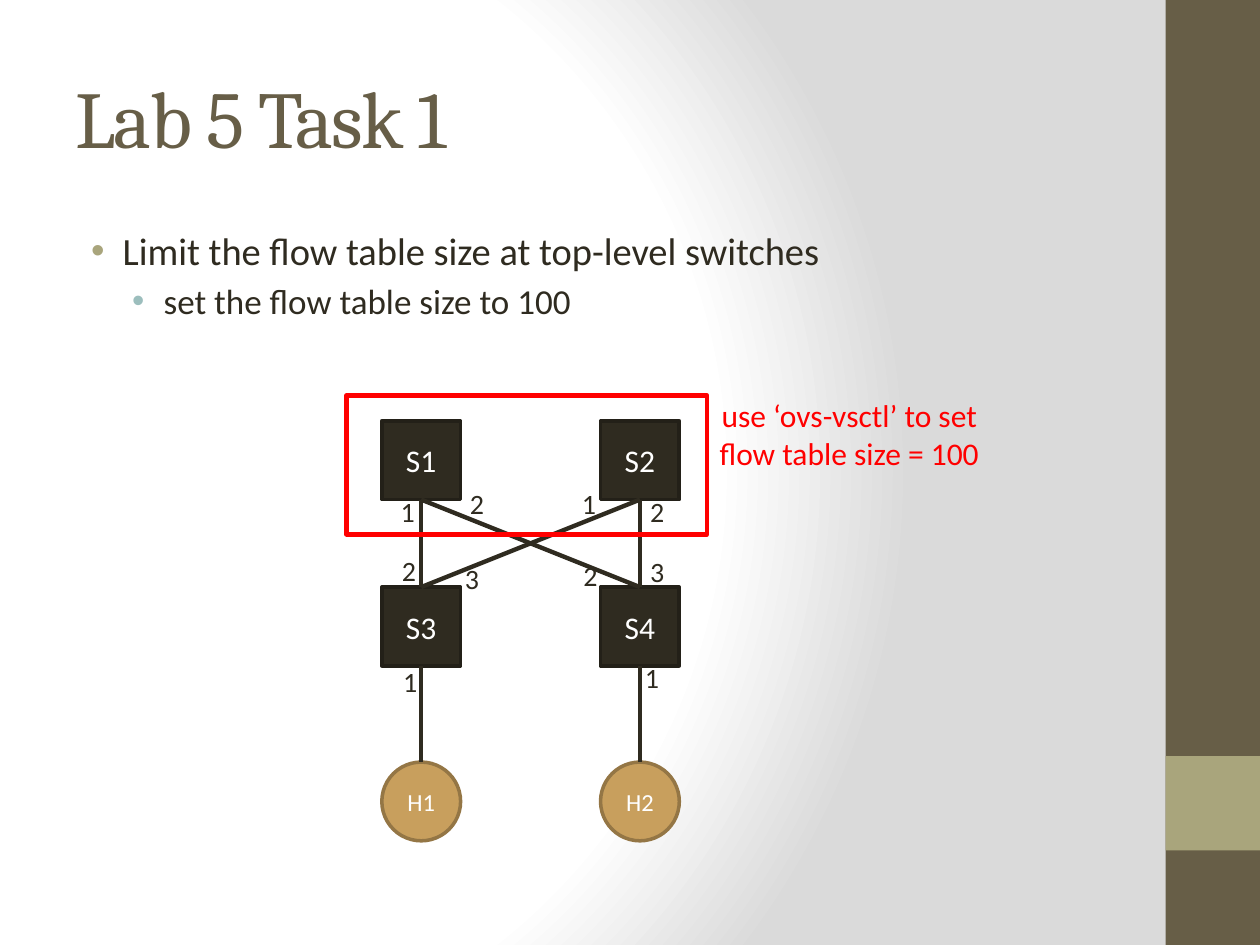
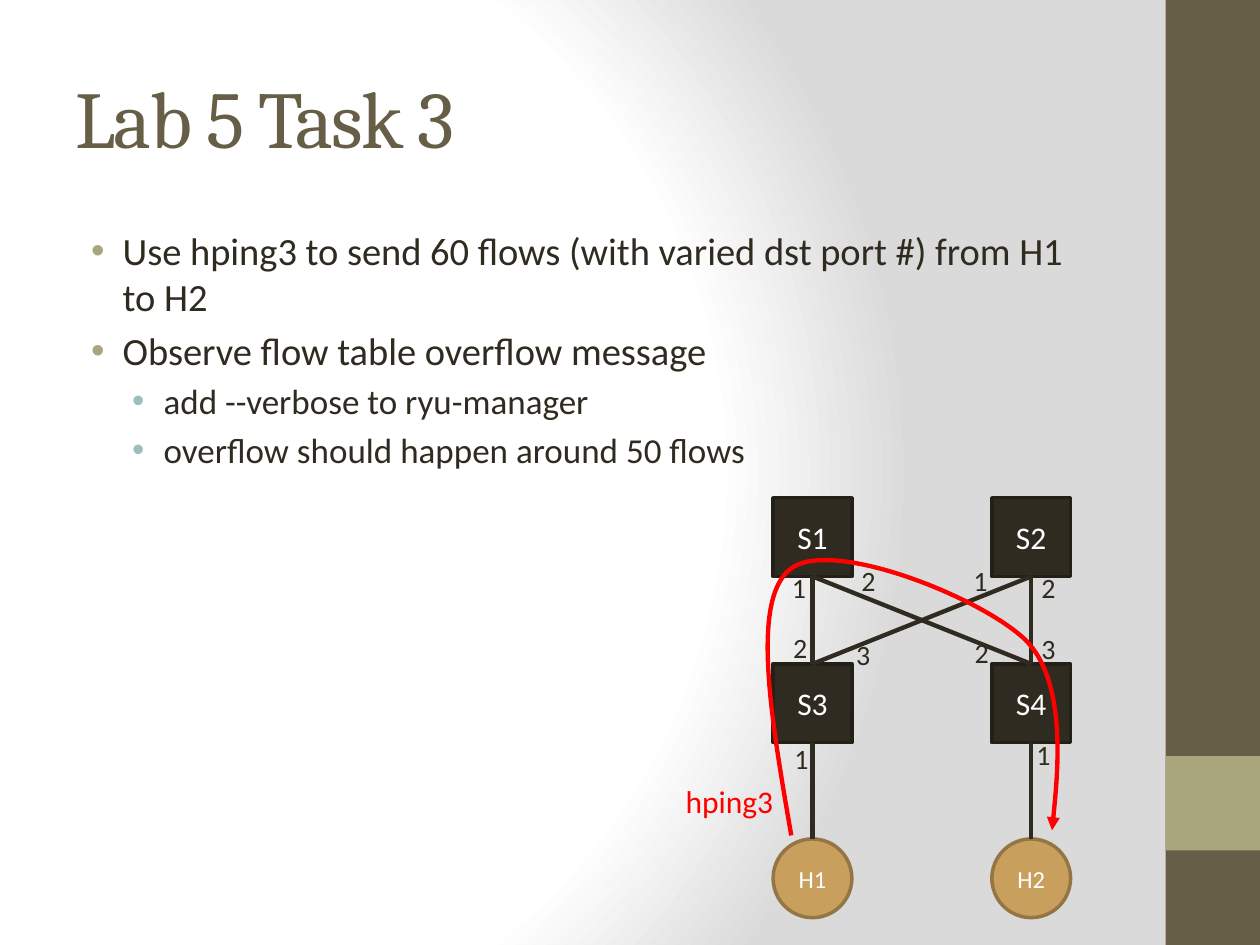
from lxml import etree
from pptx import Presentation
from pptx.dml.color import RGBColor
from pptx.enum import shapes as sh, text as tx
from pptx.oxml import parse_xml
from pptx.oxml.ns import nsdecls, qn
from pptx.util import Pt

COLORS = {
    "band": "675E47", "accent": "A9A57C", "sub_bullet": "9CBEBD",
    "ink": "2F2B20", "switch_edge": "232018",
    "host": "C89F5D", "host_edge": "947645",
    "white": "FFFFFF", "grey": "DADADA", "red": "FF0000",
}
C = {name: RGBColor.from_string(value) for name, value in COLORS.items()}
RECT, OVAL = sh.MSO_SHAPE.RECTANGLE, sh.MSO_SHAPE.OVAL


def add_block(parent, kind, box, fill=None, edge=None, width=2):
    block = parent.add_shape(kind, *map(Pt, box))
    block.shadow.inherit = False
    if fill:
        block.fill.solid()
        block.fill.fore_color.rgb = C[fill]
    else:
        block.fill.background()
    if edge:
        block.line.color.rgb = C[edge]
        block.line.width = Pt(width)
    else:
        block.line.fill.background()
    return block


def write(frame, words, size, color, face="Calibri", align=tx.PP_ALIGN.CENTER):
    frame.word_wrap = True
    frame.vertical_anchor = tx.MSO_ANCHOR.MIDDLE
    line = frame.paragraphs[0]
    line.text = words
    line.alignment = align
    line.font.size, line.font.name = Pt(size), face
    line.font.color.rgb = C[color]
    return line


prs = Presentation()
prs.slide_width, prs.slide_height = Pt(720), Pt(540)

# Shared background: a round gradient on the master
prs.slide_master.background.fill.gradient()
plain = prs.slide_master.element.find(".//" + qn("a:gradFill"))
stops = "".join(
    f'<a:gs pos="{pos}"><a:srgbClr val="{COLORS[name]}"/></a:gs>'
    for pos, name in [(0, "white"), (75000, "white"), (100000, "grey")])
plain.getparent().replace(plain, parse_xml(
    f'<a:gradFill {nsdecls("a")} rotWithShape="1"><a:gsLst>{stops}</a:gsLst>'
    '<a:path path="circle"><a:fillToRect l="20000" t="50000" r="100000" b="50000"/>'
    '</a:path></a:gradFill>'))

# Bullets by level: size, left margin, bullet colour
LEVELS = [(22, 27, "accent"), (20, 50.4, "sub_bullet")]

# Network, measured from the corner of S1
NODE, COLUMN = 45, 125
NODES = {"S1": (0, 0), "S2": (COLUMN, 0), "S3": (0, 95), "S4": (COLUMN, 95),
         "H1": (0, 195), "H2": (COLUMN, 195)}
LINKS = [("S1", "S3"), ("S2", "S4"), ("S2", "S3"), ("S1", "S4"),
         ("S3", "H1"), ("S4", "H2")]
PORTS = [("1", 3.6, 140.4), ("2", 2.9, 77), ("3", 38.9, 81.4),
         ("3", 144.7, 77.8), ("2", 106.6, 80), ("1", 141.8, 138.2),
         ("1", 2.2, 43.2), ("2", 41.8, 38.9), ("1", 105.8, 38.9),
         ("2", 144.7, 43.2)]

# Title, bullets (level, words), network corner, red note and its box
SLIDES = [
    ("Lab 5 Task 1",
     [(0, "Limit the flow table size at top-level switches"),
      (1, "set the flow table size to 100")],
     (218.2, 240.5),
     "use ‘ovs-vsctl’ to set flow table size = 100", (398.2, 229, 174.2, 37.4)),
    ("Lab 5 Task 3",
     [(0, "Use hping3 to send 60 flows (with varied dst port #) from H1 to H2"),
      (0, "Observe flow table overflow message"),
      (1, "add --verbose to ryu-manager"),
      (1, "overflow should happen around 50 flows")],
     (441.8, 284.4),
     "hping3", (375.1, 439.2, 83.5, 37.4)),
]

for heading, bullets, (left, top), note, note_box in SLIDES:
    slide = prs.slides.add_slide(prs.slide_layouts[6])

    # Side band
    add_block(slide.shapes, RECT, (666, 0, 54, 540), "band")
    add_block(slide.shapes, RECT, (666, 432, 54, 54), "accent")

    # Title
    title = slide.shapes.add_textbox(Pt(36), Pt(21.6), Pt(600), Pt(90))
    title_line = write(title.text_frame, heading, 46, "band", "Cambria",
                       tx.PP_ALIGN.LEFT)
    title_line.runs[0].font._element.set("spc", "-100")

    # Bullets
    body = slide.shapes.add_textbox(Pt(36), Pt(126), Pt(600), Pt(378)).text_frame
    body.word_wrap = True
    for i, (level, words) in enumerate(bullets):
        size, margin, bullet_color = LEVELS[level]
        item = body.paragraphs[0] if i == 0 else body.add_paragraph()
        item.text, item.level = words, level
        item.space_before = Pt(size * 0.2)
        props = item._p.get_or_add_pPr()
        props.set("marL", str(Pt(margin)))
        props.set("indent", str(-Pt(18)))
        mark_color = etree.SubElement(props, qn("a:buClr"))
        etree.SubElement(mark_color, qn("a:srgbClr"), val=COLORS[bullet_color])
        etree.SubElement(props, qn("a:buFont"), typeface="Arial")
        etree.SubElement(props, qn("a:buChar"), char="•")
        item.font.size, item.font.name = Pt(size), "Calibri"
        item.font.color.rgb = C["ink"]

    # Network: nodes, links, port numbers
    network = slide.shapes.add_group_shape().shapes
    nodes = {}
    for name, (x, y) in NODES.items():
        box = (left + x, top + y, NODE, NODE)
        if name.startswith("S"):
            nodes[name] = add_block(network, RECT, box, "ink", "switch_edge")
            write(nodes[name].text_frame, name, 18, "white")
        else:
            nodes[name] = add_block(network, OVAL, box, "host", "host_edge")
            write(nodes[name].text_frame, name, 14, "white")
    for upper, lower in LINKS:
        link = network.add_connector(sh.MSO_CONNECTOR.STRAIGHT,
                                     Pt(left), Pt(top), Pt(left), Pt(top))
        link.begin_connect(nodes[upper], 2)
        link.end_connect(nodes[lower], 0)
        link.line.color.rgb, link.line.width = C["ink"], Pt(2.5)
        etree.SubElement(link._element.spPr, qn("a:effectLst"))
    for number, x, y in PORTS:
        port = network.add_textbox(Pt(left + x), Pt(top + y), Pt(25.2), Pt(16.6))
        write(port.text_frame, number, 16, "ink")

    # Red note
    remark = slide.shapes.add_textbox(*map(Pt, note_box))
    write(remark.text_frame, note, 18, "red")

# Frame around the top-level switches
first, last = prs.slides
add_block(first.shapes, RECT, (198, 226.1, 206, 79.2), edge="red", width=2.75)

# Route of the flows from H1 to H2: three Bézier curves
ROUTE = [(452.2, 477.4), (440.6, 410.4), (429.1, 343.4), (451.4, 325.4),
         (473.8, 306.7), (560.9, 341.3), (586.1, 365.8),
         (611.3, 391), (601.2, 474.5), (601.2, 474.5)]
start, *rest = [(Pt(x), Pt(y)) for x, y in ROUTE]
builder = last.shapes.build_freeform(*start)
builder.add_line_segments(rest, close=False)
route = builder.convert_to_shape()
track = route._element.find(".//" + qn("a:path"))
steps = track.findall(qn("a:lnTo"))
for i in range(0, len(steps), 3):
    curve = etree.SubElement(track, qn("a:cubicBezTo"))
    for step in steps[i:i + 3]:
        curve.append(step[0])
        track.remove(step)
route.shadow.inherit = False
route.fill.background()
route.line.color.rgb, route.line.width = C["red"], Pt(2.5)
etree.SubElement(route.line._get_or_add_ln(), qn("a:tailEnd"), type="triangle")

prs.save("out.pptx")
